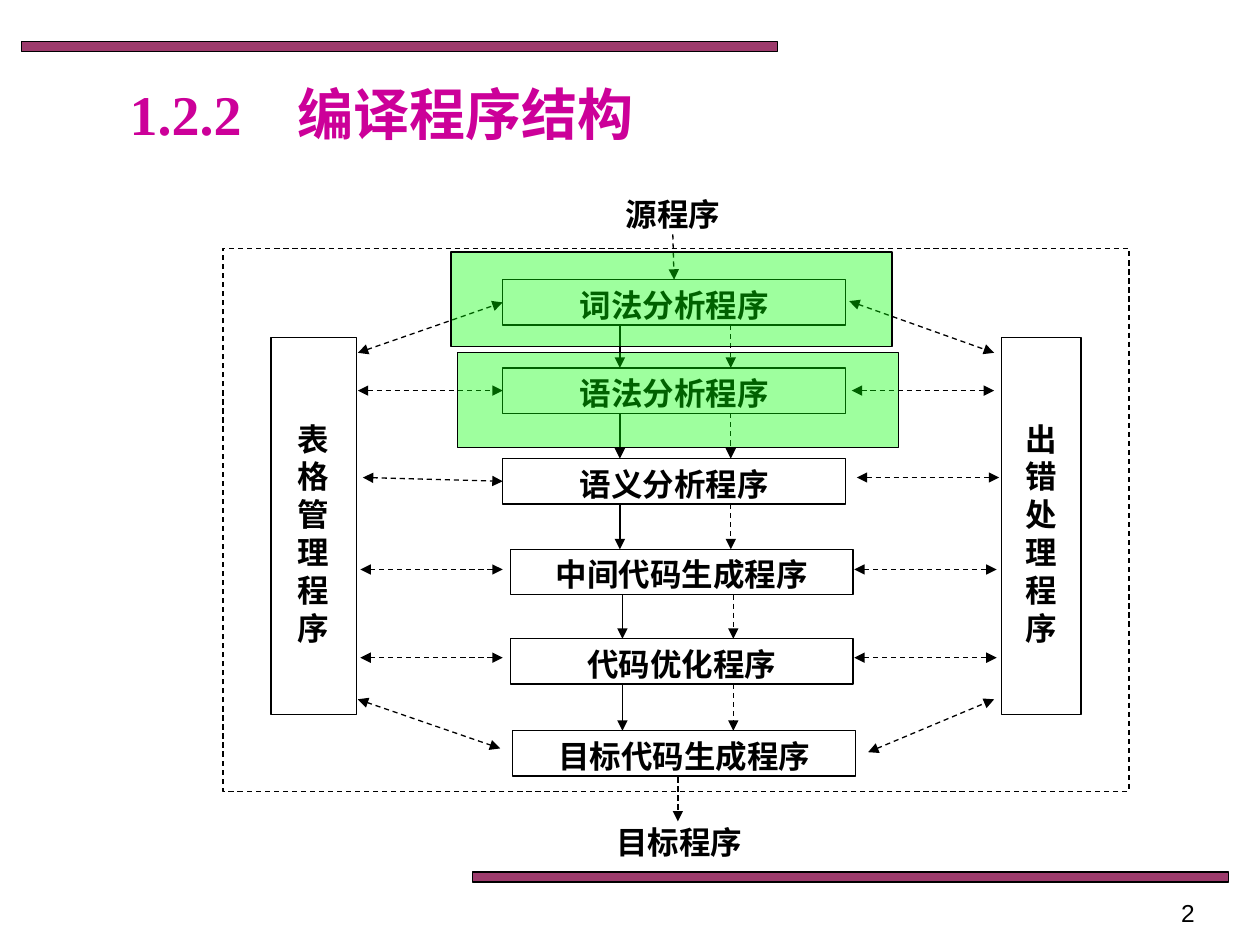
from lxml.etree import SubElement
from pptx import Presentation
from pptx.dml.color import RGBColor
from pptx.enum.dml import MSO_LINE
from pptx.enum.shapes import MSO_CONNECTOR, MSO_SHAPE
from pptx.enum.text import MSO_ANCHOR, PP_ALIGN
from pptx.oxml.ns import qn
from pptx.util import Inches, Pt

# Content
TITLE = "1.2.2\u3000编译程序结构"
SOURCE, TARGET = ("源程序", 3.98, 1.5), ("目标程序", 4.03, 6.48)
STAGES = [  # text, left, top
    ("词法分析程序", 3.99, 2.22),
    ("语法分析程序", 3.99, 2.92),
    ("语义分析程序", 3.99, 3.64),
    ("中间代码生成程序", 4.05, 4.36),
    ("代码优化程序", 4.05, 5.07),
    ("目标代码生成程序", 4.07, 5.8),
]
STAGE_W, STAGE_H = 2.72, 0.36
SIDES = [("表格管理程序", 2.15, 0.68), ("出错处理程序", 7.95, 0.63)]
FLOW_X = [(4.92, 5.8)] * 3 + [(4.94, 5.82)] * 2  # solid, dashed
TABLE_LINKS = [  # table manager to each stage
    ((2.84, 2.8), (3.95, 2.37)),
    ((2.84, 3.1), (3.97, 3.1)),
    ((2.88, 3.79), (4.01, 3.79)),
    ((2.86, 4.52), (3.99, 4.52)),
    ((2.86, 5.22), (3.99, 5.22)),
    ((2.84, 5.55), (3.97, 5.94)),
]
JOINED_STAGES = 3  # table links that reach the stage's side
ERROR_LINKS = [  # each stage to error handler
    ((6.74, 2.39), (7.89, 2.8)),
    ((6.76, 3.1), (7.89, 3.1)),
    ((6.8, 3.79), (7.93, 3.79)),
    ((6.78, 4.52), (7.91, 4.52)),
    ((6.78, 5.22), (7.91, 5.22)),
    ((6.89, 5.97), (7.89, 5.55)),
]
BARS = [(0.17, 0.33), (3.75, 6.92)]
HIGHLIGHTS = [(3.58, 2), (3.63, 2.8)]

prs = Presentation()
prs.slide_width, prs.slide_height = Inches(10), Inches(7.5)
s = prs.slides.add_slide(prs.slide_layouts[6])


def rgb(value):
    return RGBColor.from_string(value)


def style_line(line, dashed=False):
    line.color.rgb = rgb("000000")
    line.width = Pt(0.75)
    if dashed:
        line.dash_style = MSO_LINE.DASH


def write(sp, text, size=18, font="Times New Roman", color="000000",
          bold=True, align=PP_ALIGN.CENTER, top=0.05, wrap=True):
    tf = sp.text_frame
    tf.word_wrap = wrap
    tf.vertical_anchor = MSO_ANCHOR.TOP
    tf.margin_top = Inches(top)
    p = tf.paragraphs[0]
    p.alignment = align
    r = p.add_run()
    r.text = text
    r.font.size, r.font.bold, r.font.name = Pt(size), bold, font
    r.font.color.rgb = rgb(color)


def textbox(text, x, y, w, h, **fmt):
    sp = s.shapes.add_textbox(Inches(x), Inches(y), Inches(w), Inches(h))
    write(sp, text, **fmt)
    return sp


def rect(x, y, w, h, fill=None, alpha=None, dashed=False):
    sp = s.shapes.add_shape(MSO_SHAPE.RECTANGLE, Inches(x), Inches(y), Inches(w), Inches(h))
    sp.shadow.inherit = False
    style_line(sp.line, dashed)
    if fill is None:
        sp.fill.background()
        return sp
    sp.fill.solid()
    sp.fill.fore_color.rgb = rgb(fill)
    if alpha is not None:
        clr = sp.fill._xPr.find(qn("a:solidFill"))[0]
        SubElement(clr, qn("a:alpha")).set("val", str(alpha * 1000))
    return sp


def arrow(start, end, dashed=True, both=False):
    c = s.shapes.add_connector(MSO_CONNECTOR.STRAIGHT, *map(Inches, start + end))
    style_line(c.line, dashed)
    ln = c.line._get_or_add_ln()
    for tag in ("a:headEnd", "a:tailEnd") if both else ("a:tailEnd",):
        SubElement(ln, qn(tag)).set("type", "triangle")
    SubElement(c._element.spPr, qn("a:effectLst"))
    return c


# Decorative bars and page number
for x, y in BARS:
    rect(x, y, 6, 0.08, "993366", alpha=96)
textbox("2", 7.25, 7.08, 2.33, 0.27, size=14, font="Arial", bold=False, align=PP_ALIGN.RIGHT)

# Source, stages, target and side columns
source = textbox(*SOURCE, STAGE_W, STAGE_H)
stages = []
for text, x, y in STAGES:
    stages.append(rect(x, y, STAGE_W, STAGE_H, "FFFFFF"))
    write(stages[-1], text)
textbox(*TARGET, STAGE_W, STAGE_H)
for text, x, w in SIDES:
    write(rect(x, 2.68, w, 2.99, "FFFFFF"), text, top=0.65)

# Arrows into, between and out of the stages
entry = arrow((5.36, 1.85), (5.36, 2.21))
entry.begin_connect(source, 2)
entry.end_connect(stages[0], 0)
for (solid_x, dashed_x), upper, lower in zip(FLOW_X, STAGES, STAGES[1:]):
    for x, dashed in ((solid_x, False), (dashed_x, True)):
        arrow((x, upper[2] + STAGE_H), (x, lower[2]), dashed)
arrow((5.38, 6.17), (5.38, 6.52))

# Two-way links to the side columns
for i, (start, end) in enumerate(TABLE_LINKS):
    link = arrow(start, end, both=True)
    if i < JOINED_STAGES:
        link.end_connect(stages[i], 1)
for start, end in ERROR_LINKS:
    arrow(start, end, both=True)

# Compiler boundary, title and highlighted stages
rect(1.77, 1.97, 7.19, 4.31, dashed=True)
textbox(TITLE, 0.93, 0.58, 4.74, 0.42, size=32, color="CC0099", align=PP_ALIGN.LEFT)
for x, y in HIGHLIGHTS:
    rect(x, y, 3.5, 0.75, "00FF00", alpha=38)

prs.save("out.pptx")
